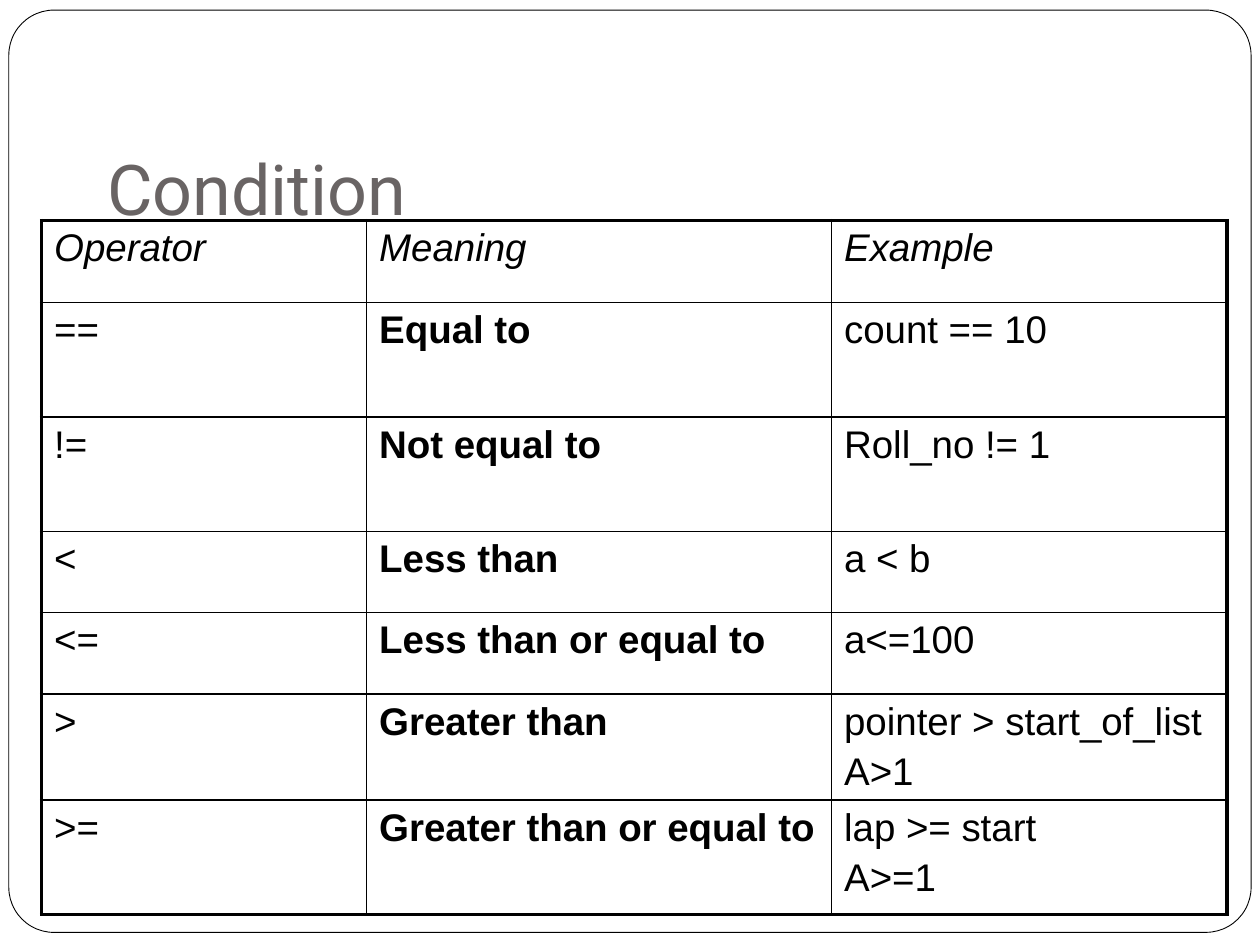
"""Build a slide with a table of comparison operators."""
from dataclasses import dataclass

from lxml import etree
from pptx import Presentation
from pptx import util as u
from pptx.dml import color
from pptx.enum import shapes, text
from pptx.oxml import ns

BLACK, WHITE, GREY = "000000", "FFFFFF", "696464"
COLUMN_WIDTHS = (2.58, 3.69, 3.14)


@dataclass
class OperatorRow:
    """One row of the table and its height in inches."""
    operator: str
    meaning: str
    example: str
    height: float
    heading: bool = False


ROWS = [
    OperatorRow("Operator", "Meaning", "Example", 0.65, heading=True),
    OperatorRow("==", "Equal to", "count == 10", 0.91),
    OperatorRow("!=", "Not equal to", "Roll_no != 1", 0.91),
    OperatorRow("<", "Less than", "a < b", 0.64),
    OperatorRow("<=", "Less than or equal to", "a<=100", 0.65),
    OperatorRow(">", "Greater than", "pointer > start_of_list\nA>1", 0.84),
    OperatorRow(">=", "Greater than or equal to", "lap >= start\nA>=1", 0.91),
]


def rgb(value: str) -> color.RGBColor:
    """Turn a hex string into a colour."""
    return color.RGBColor.from_string(value)


def add_frame(page) -> None:
    """Draw the rounded frame behind everything else."""
    frame = page.shapes.add_shape(
        shapes.MSO_SHAPE.ROUNDED_RECTANGLE,
        u.Inches(0.07), u.Inches(0.08), u.Inches(9.86), u.Inches(7.32))
    frame.adjustments[0] = 0.049
    frame.shadow.inherit = False
    frame.fill.solid()
    frame.fill.fore_color.rgb = rgb(WHITE)
    frame.line.color.rgb = rgb(BLACK)
    frame.line.width = u.Pt(0.5)
    page.shapes._spTree.insert(2, frame._element)


def set_title(page, wording: str) -> None:
    """Place and format the title."""
    title = page.shapes.title
    title.left, title.top = u.Inches(0.75), u.Inches(0.67)
    title.width, title.height = u.Inches(8.5), u.Inches(1.25)
    box = title.text_frame
    box.text = wording
    box.vertical_anchor = text.MSO_ANCHOR.BOTTOM
    box.margin_bottom = u.Inches(0.1)
    para = box.paragraphs[0]
    para.alignment = text.PP_ALIGN.LEFT
    para.font.name = "Roboto"
    para.font.size = u.Pt(40)
    para.font.color.rgb = rgb(GREY)


def set_borders(cell, widths: dict[str, float]) -> None:
    """Give each side of a cell a black line of its width in points."""
    properties = cell._tc.get_or_add_tcPr()
    for index, (side, width) in enumerate(widths.items()):
        line = etree.Element(ns.qn(f"a:ln{side}"), w=str(u.Pt(width)))
        fill = etree.SubElement(line, ns.qn("a:solidFill"))
        etree.SubElement(fill, ns.qn("a:srgbClr"), val=BLACK)
        properties.insert(index, line)


def fill_cell(cell, wording: str, bold: bool, italic: bool) -> None:
    """Write and format the text of a cell."""
    cell.fill.background()
    cell.text = wording
    for para in cell.text_frame.paragraphs:
        para.space_before = u.Pt(4)
        para.font.name = "Arial"
        para.font.size = u.Pt(22)
        para.font.bold = bold
        para.font.italic = italic
        para.font.color.rgb = rgb(BLACK)


def add_operator_table(page) -> None:
    """Add the table with a heavy outline and thin inner lines."""
    table = page.shapes.add_table(
        len(ROWS), len(COLUMN_WIDTHS), u.Inches(0.33), u.Inches(1.75),
        u.Inches(sum(COLUMN_WIDTHS)),
        u.Inches(sum(row.height for row in ROWS))).table
    table.first_row = table.horz_banding = False
    for column, width in zip(table.columns, COLUMN_WIDTHS):
        column.width = u.Inches(width)
    last_row, last_column = len(ROWS) - 1, len(COLUMN_WIDTHS) - 1
    for y, row in enumerate(ROWS):
        table.rows[y].height = u.Inches(row.height)
        for x, wording in enumerate((row.operator, row.meaning, row.example)):
            cell = table.cell(y, x)
            fill_cell(cell, wording, x == 1 and not row.heading, row.heading)
            outer = {"L": x == 0, "R": x == last_column,
                     "T": y == 0, "B": y == last_row}
            set_borders(cell, {side: 2.25 if edge else 1
                               for side, edge in outer.items()})


def main() -> None:
    """Build and save the deck."""
    deck = Presentation()
    deck.slide_width, deck.slide_height = u.Inches(10), u.Inches(7.5)
    page = deck.slides.add_slide(deck.slide_layouts[5])
    add_frame(page)
    set_title(page, "Condition")
    add_operator_table(page)
    deck.save("out.pptx")


main()
